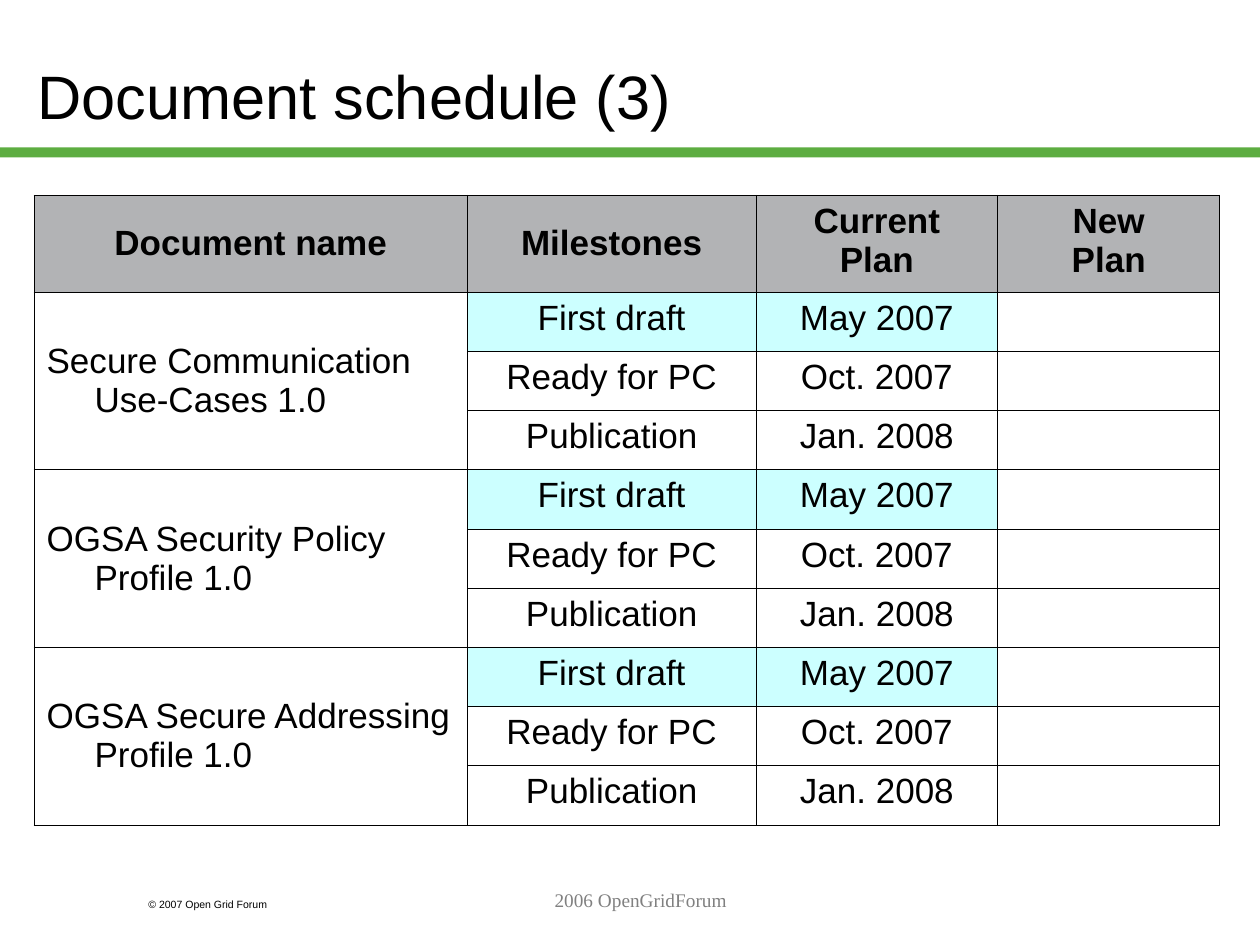
from pptx import Presentation
from pptx.dml.color import RGBColor
from pptx.enum.shapes import MSO_SHAPE
from pptx.enum.text import MSO_ANCHOR, PP_ALIGN
from pptx.oxml import parse_xml
from pptx.oxml.ns import nsdecls
from pptx.util import Inches, Pt

COLORS = {"text": "000000", "footer": "808080", "rule": "5DAD41",
          "header": "B2B3B5", "done": "CCFFFF", "border": "000000"}
HEADERS = ["Document name", "Milestones", "Current\nPlan", "New\nPlan"]
DOCUMENTS = [
    "Secure Communication Use-Cases 1.0",
    "OGSA Security Policy Profile 1.0",
    "OGSA Secure Addressing Profile 1.0",
]
# Every document follows the same plan: milestone, date, cell colour
MILESTONES = [
    ("First draft", "May 2007", "done"),
    ("Ready for PC", "Oct. 2007", None),
    ("Publication", "Jan. 2008", None),
]
COL_WIDTHS = [3.44, 2.29, 1.92, 1.76]
HEADER_HEIGHT, ROW_HEIGHT = 0.77, 0.47
HANGING = Inches(0.38)
BORDER_WIDTH = Pt(0.45)


def rgb(name):
    return RGBColor.from_string(COLORS[name])


def format_text(tf, size, color="text", font="Arial", bold=False,
                align=PP_ALIGN.LEFT):
    for p in tf.paragraphs:
        p.alignment = align
        for r in p.runs:
            r.font.size, r.font.name, r.font.bold = Pt(size), font, bold
            r.font.color.rgb = rgb(color)


def add_text(slide, box, text, size, anchor=MSO_ANCHOR.TOP, **style):
    tf = slide.shapes.add_textbox(*map(Inches, box)).text_frame
    tf.word_wrap = True
    tf.vertical_anchor = anchor
    tf.text = text
    format_text(tf, size, **style)


def add_borders(cell):
    tc_pr = cell._tc.get_or_add_tcPr()
    for i, side in enumerate(("lnL", "lnR", "lnT", "lnB")):
        tc_pr.insert(i, parse_xml(
            f'<a:{side} {nsdecls("a")} w="{BORDER_WIDTH}"><a:solidFill>'
            f'<a:srgbClr val="{COLORS["border"]}"/></a:solidFill></a:{side}>'))


def fill_cell(cell, text, fill=None, middle=False, bold=False,
              align=PP_ALIGN.CENTER):
    tf = cell.text_frame
    tf.text = text
    format_text(tf, 20, bold=bold, align=align)
    for p in tf.paragraphs:
        p_pr = p._p.get_or_add_pPr()
        p_pr.set("marL", str(HANGING))
        p_pr.set("indent", str(-HANGING))
    cell.vertical_anchor = MSO_ANCHOR.MIDDLE if middle else MSO_ANCHOR.TOP
    if fill:
        cell.fill.solid()
        cell.fill.fore_color.rgb = rgb(fill)


def add_schedule(slide):
    step = len(MILESTONES)
    n_rows = 1 + step * len(DOCUMENTS)
    height = HEADER_HEIGHT + ROW_HEIGHT * (n_rows - 1)
    table = slide.shapes.add_table(
        n_rows, len(HEADERS), Inches(0.27), Inches(1.55),
        Inches(sum(COL_WIDTHS)), Inches(height)).table
    table.first_row = table.horz_banding = False
    for col, width in zip(table.columns, COL_WIDTHS):
        col.width = Inches(width)
    for i, row in enumerate(table.rows):
        row.height = Inches(ROW_HEIGHT if i else HEADER_HEIGHT)
    for cell in table.iter_cells():
        cell.fill.background()
        add_borders(cell)

    for c, title in enumerate(HEADERS):
        fill_cell(table.cell(0, c), title, "header", middle="\n" not in title,
                  bold=True)
    for d, name in enumerate(DOCUMENTS):
        top = 1 + d * step
        table.cell(top, 0).merge(table.cell(top + step - 1, 0))
        fill_cell(table.cell(top, 0), name, middle=True, align=PP_ALIGN.LEFT)
        for r, (milestone, date, fill) in enumerate(MILESTONES, top):
            fill_cell(table.cell(r, 1), milestone, fill)
            fill_cell(table.cell(r, 2), date, fill)


def main():
    prs = Presentation()
    prs.slide_width, prs.slide_height = Inches(10), Inches(7.5)
    s = prs.slides.add_slide(prs.slide_layouts[6])

    rule = s.shapes.add_shape(MSO_SHAPE.RECTANGLE, 0, Inches(1.17),
                              prs.slide_width, Inches(0.08))
    rule.shadow.inherit = False
    rule.fill.solid()
    rule.fill.fore_color.rgb = rgb("rule")
    rule.line.fill.background()

    add_text(s, (1.08, 7.08, 1.5, 0.2), "© 2007 Open Grid Forum", 6)
    add_text(s, (0.2, 0.13, 8.5, 1.25), "Document schedule (3)", 35,
             anchor=MSO_ANCHOR.MIDDLE)
    add_schedule(s)
    add_text(s, (2.17, 7, 5.83, 0.5), "2006 OpenGridForum", 11,
             color="footer", font="Times New Roman", align=PP_ALIGN.CENTER)
    prs.save("out.pptx")


if __name__ == "__main__":
    main()
